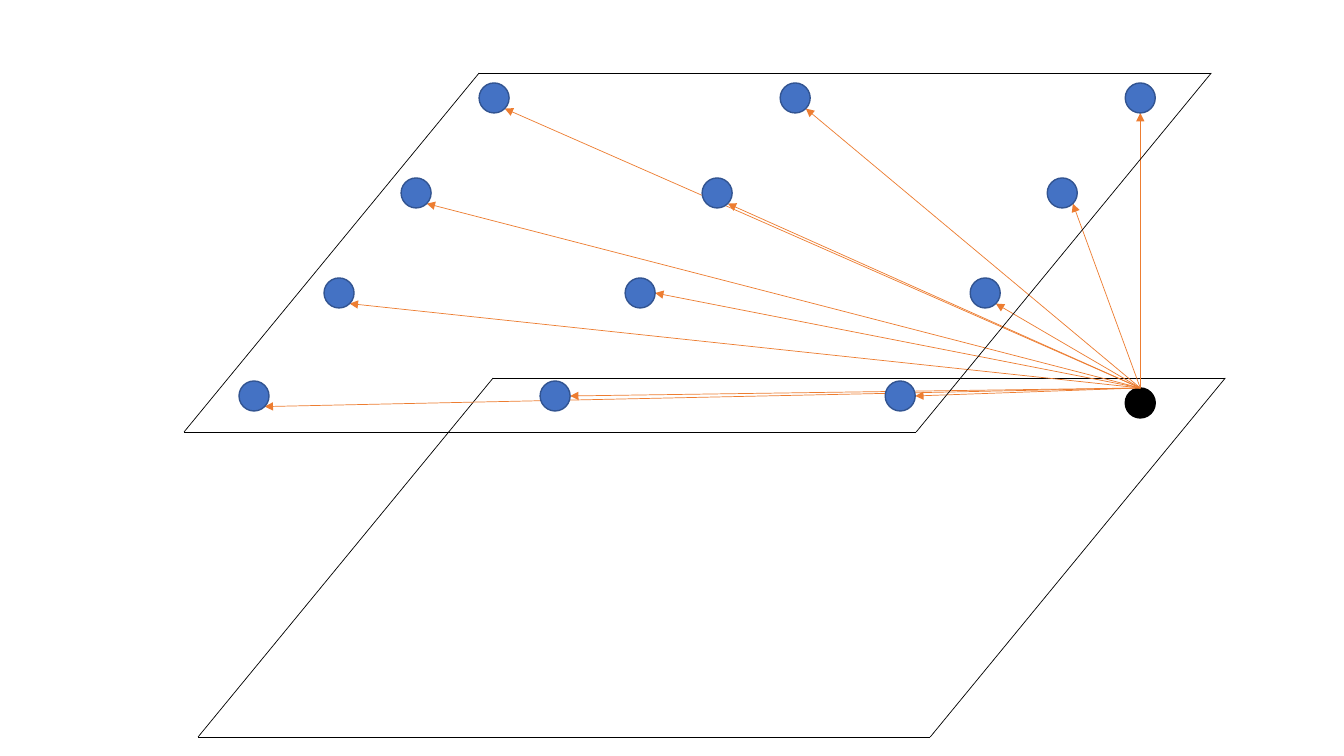
from math import sqrt

from lxml.etree import SubElement
from pptx import Presentation
from pptx.dml.color import RGBColor
from pptx.enum.shapes import MSO_CONNECTOR, MSO_SHAPE
from pptx.oxml.ns import qn
from pptx.util import Emu, Inches, Pt

BLACK = RGBColor(0x00, 0x00, 0x00)
BLUE = RGBColor(0x44, 0x72, 0xC4)
DARK_BLUE = RGBColor(0x32, 0x54, 0x91)
ORANGE = RGBColor(0xED, 0x7D, 0x31)

PIXELS_PER_INCH = 100.8
DIAMETER = 30
RADIUS = DIAMETER / 2
DIAGONAL = RADIUS / sqrt(2)

# Points on a dot where an arrow may end, relative to its centre
ARROW_ENDS = {
    "right": (RADIUS, 0),
    "corner": (DIAGONAL, DIAGONAL),
    "bottom": (0, RADIUS),
}

UPPER_PLANE = [(479, 73), (1211, 73), (916, 432), (184, 432)]
LOWER_PLANE_SHIFT = (14, 305)
SOURCE_DOT = (1140, 403)
COLUMN_OFFSETS = (0, 301, 646)
# Centre of the first dot in the row, then the arrow end of each dot
DOT_ROWS = [
    ((494, 98), ("corner", "corner", "bottom")),
    ((416, 193), ("corner", "corner", "corner")),
    ((339, 293), ("corner", "right", "corner")),
    ((254, 396), ("corner", "right", "right")),
]


def emu(pixels):
    """Convert pixels to EMU."""
    return Emu(round(pixels * 914400 / PIXELS_PER_INCH))


def shift(point, offset):
    """Move a point by an offset."""
    return point[0] + offset[0], point[1] + offset[1]


def add_line(shapes, start, end, color, arrow=False):
    """Draw a thin straight line, with an arrowhead at its end if wanted."""
    connector = shapes.add_connector(
        MSO_CONNECTOR.STRAIGHT, *(emu(value) for value in start + end))
    connector.line.color.rgb = color
    connector.line.width = Pt(0.5)
    properties = connector.element.spPr
    if arrow:
        SubElement(properties.find(qn("a:ln")), qn("a:tailEnd"), type="triangle")
    SubElement(properties, qn("a:effectLst"))


def add_plane(shapes, corners):
    """Draw the four edges of a plane."""
    for start, end in zip(corners, corners[1:] + corners[:1]):
        add_line(shapes, start, end, BLACK)


def add_dot(shapes, center, fill, outline):
    """Draw a round dot around its centre."""
    left, top = shift(center, (-RADIUS, -RADIUS))
    dot = shapes.add_shape(MSO_SHAPE.OVAL, emu(left), emu(top),
                           emu(DIAMETER), emu(DIAMETER))
    dot.shadow.inherit = False
    dot.fill.solid()
    dot.fill.fore_color.rgb = fill
    dot.line.color.rgb = outline
    dot.line.width = Pt(1)


deck = Presentation()
deck.slide_width, deck.slide_height = Inches(13.33), Inches(7.5)
page = deck.slides.add_slide(deck.slide_layouts[6])

lower_group = page.shapes.add_group_shape()
add_plane(lower_group.shapes,
          [shift(corner, LOWER_PLANE_SHIFT) for corner in UPPER_PLANE])
add_dot(page.shapes, SOURCE_DOT, BLACK, BLACK)

targets = [(shift(first, (offset, 0)), end)
           for first, ends in DOT_ROWS
           for offset, end in zip(COLUMN_OFFSETS, ends)]
arrow_start = shift(SOURCE_DOT, (0, -RADIUS))
for center, end in targets:
    add_line(page.shapes, arrow_start, shift(center, ARROW_ENDS[end]),
             ORANGE, arrow=True)

upper_group = page.shapes.add_group_shape()
add_plane(upper_group.shapes, UPPER_PLANE)
for center, end in targets:
    add_dot(upper_group.shapes, center, BLUE, DARK_BLUE)

deck.save("out.pptx")
